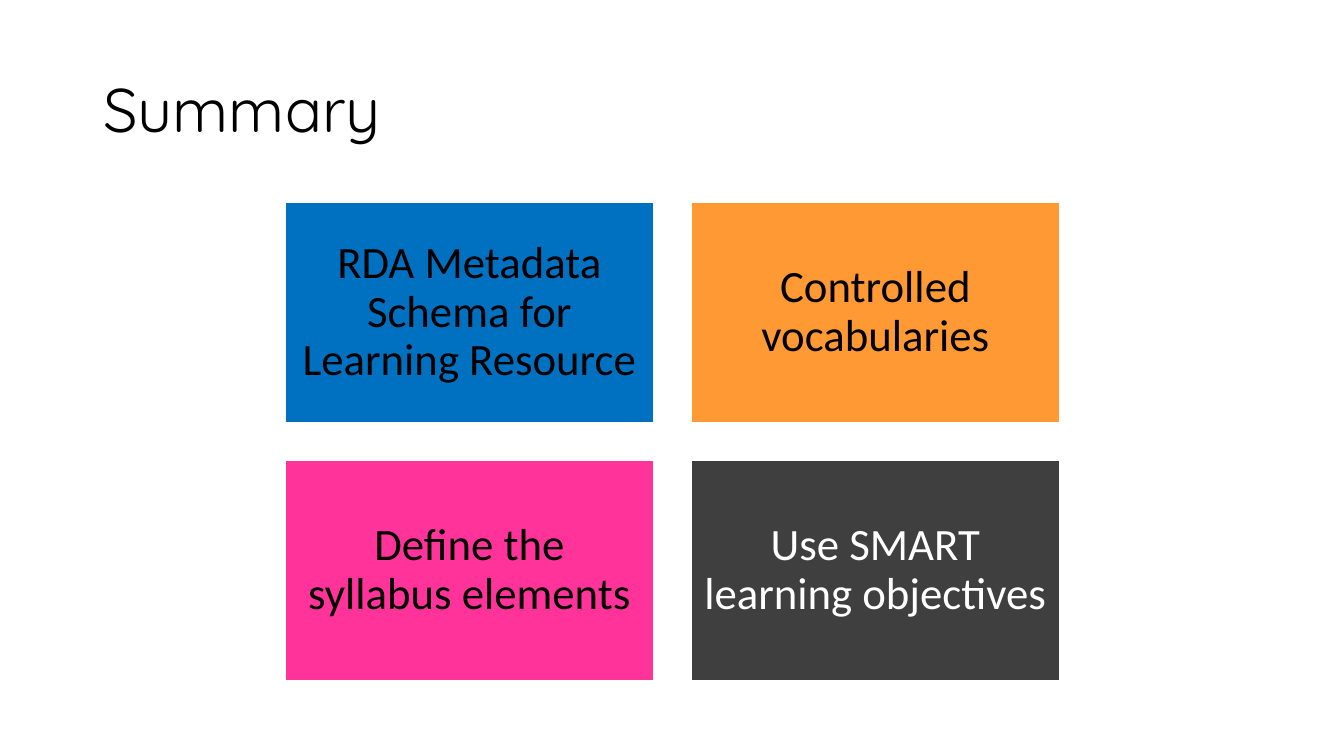
from pptx import Presentation
from pptx.dml.color import RGBColor
from pptx.enum.shapes import MSO_SHAPE
from pptx.enum.text import MSO_ANCHOR, PP_ALIGN
from pptx.util import Emu, Pt

COLOURS = {
    "black": "000000",
    "white": "FFFFFF",
    "blue": "0070C0",
    "orange": "FF9933",
    "pink": "FF3399",
    "grey": "3F3F3F",
}


def px(length):
    return Emu(round(length * 914400 / 100.8))


def write(shape, text, font, size, colour, alignment):
    frame = shape.text_frame
    frame.word_wrap = True
    frame.vertical_anchor = MSO_ANCHOR.MIDDLE
    frame.text = text
    para = frame.paragraphs[0]
    para.alignment = alignment
    para.line_spacing = 0.9
    span = para.runs[0]
    span.font.name = font
    span.font.size = Pt(size)
    span.font.color.rgb = RGBColor.from_string(COLOURS[colour])


deck = Presentation()
deck.slide_width, deck.slide_height = px(1344), px(756)
page = deck.slides.add_slide(deck.slide_layouts[5])

title = page.shapes.title
title.left, title.top, title.width, title.height = px(93), px(40), px(1159), px(146)
write(title, "Summary", "Quicksand", 44, "black", PP_ALIGN.LEFT)

TILE_WIDTH, TILE_HEIGHT, GAP = 369, 221, 37
GRID_LEFT, GRID_TOP, COLUMNS = 285, 202, 2
INSET = px(13)
tiles = [
    ("RDA Metadata Schema for Learning Resource", "blue", "black"),
    ("Controlled vocabularies", "orange", "black"),
    ("Define the syllabus elements", "pink", "black"),
    ("Use SMART learning objectives", "grey", "white"),
]

for index, (text, fill, ink) in enumerate(tiles):
    row, column = divmod(index, COLUMNS)
    tile = page.shapes.add_shape(
        MSO_SHAPE.RECTANGLE,
        px(GRID_LEFT + column * (TILE_WIDTH + GAP)),
        px(GRID_TOP + row * (TILE_HEIGHT + GAP)),
        px(TILE_WIDTH),
        px(TILE_HEIGHT),
    )
    tile.shadow.inherit = False
    tile.fill.solid()
    tile.fill.fore_color.rgb = RGBColor.from_string(COLOURS[fill])
    tile.line.color.rgb = RGBColor.from_string(COLOURS["white"])
    tile.line.width = Pt(1)
    frame = tile.text_frame
    frame.margin_left = frame.margin_right = INSET
    frame.margin_top = frame.margin_bottom = INSET
    write(tile, text, "Calibri", 32, ink, PP_ALIGN.CENTER)

deck.save("out.pptx")
